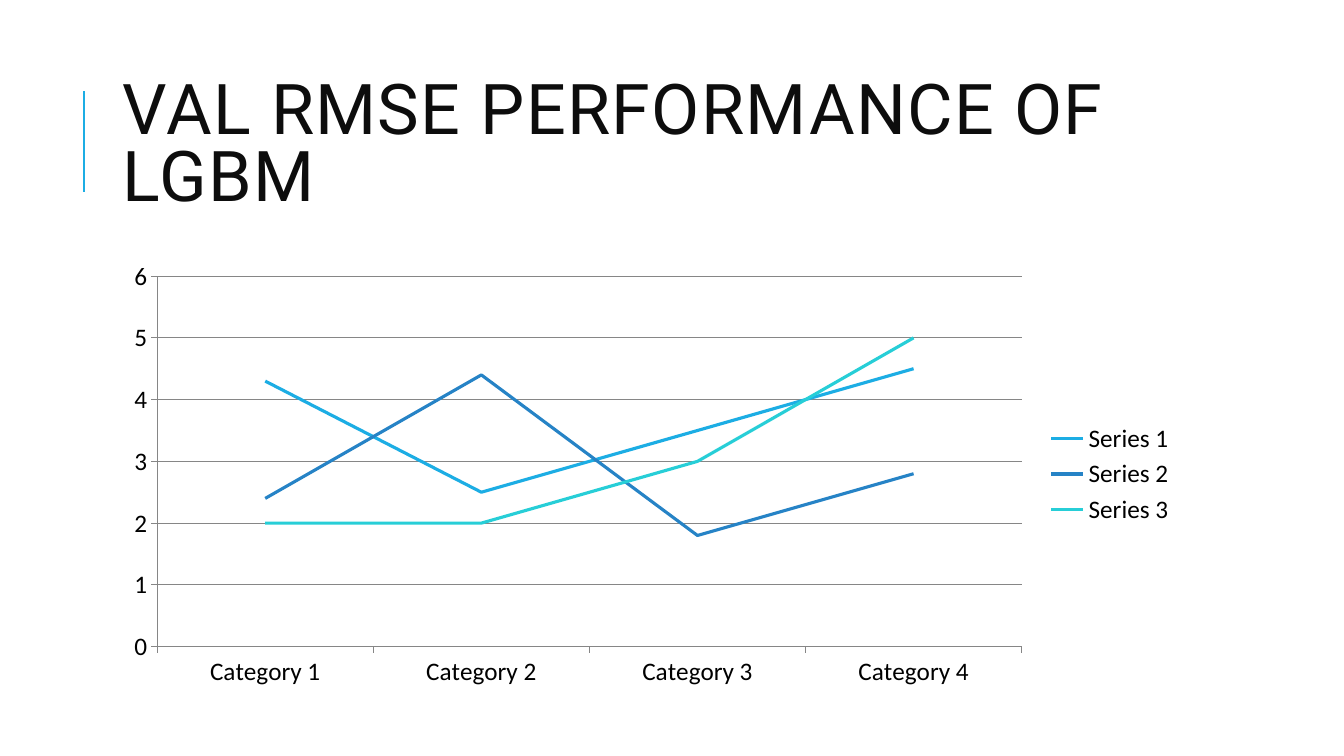
from lxml.etree import SubElement
from pptx import Presentation
from pptx.chart.data import CategoryChartData
from pptx.dml.color import RGBColor
from pptx.enum.chart import XL_CHART_TYPE, XL_LEGEND_POSITION, XL_MARKER_STYLE, XL_TICK_MARK
from pptx.enum.shapes import MSO_CONNECTOR
from pptx.enum.text import MSO_ANCHOR
from pptx.oxml.ns import qn
from pptx.util import Emu, Pt

COLORS = {
    "accent": "1CADE4",
    "title": "0D0D0D",
    "text": "000000",
    "grid": "868686",
}
CATEGORIES = [f"Category {number}" for number in range(1, 5)]
SERIES = [
    ("Series 1", (4.3, 2.5, 3.5, 4.5), "1CADE4"),
    ("Series 2", (2.4, 4.4, 1.8, 2.8), "2683C6"),
    ("Series 3", (2, 2, 3, 5), "27CED7"),
]


def px(length):
    """Turn pixels into EMU."""
    return Emu(round(length * 914400 / 100.8))


def set_line(line, color, points):
    """Give a line its colour and width."""
    line.color.rgb = RGBColor.from_string(color)
    line.width = Pt(points)


def add_title(page, box, text):
    """Place the title in its box, with the accent rule to its left."""
    left, top, width, height = box
    rule_x, rule_top, rule_height = left - 29, top + 26, 101
    rule = page.shapes.add_connector(
        MSO_CONNECTOR.STRAIGHT, px(rule_x), px(rule_top + rule_height), px(rule_x), px(rule_top))
    set_line(rule.line, COLORS["accent"], 1.5)
    SubElement(rule._element.spPr, qn("a:effectLst"))

    frame = page.shapes.add_textbox(*map(px, box)).text_frame
    frame.word_wrap = True
    frame.vertical_anchor = MSO_ANCHOR.MIDDLE
    frame.text = text
    para = frame.paragraphs[0]
    para.line_spacing = 0.8
    span = para.runs[0]
    span.font.name = "Roboto"
    span.font.size = Pt(50)
    span.font.color.rgb = RGBColor.from_string(COLORS["title"])
    span.font._element.set("spc", "100")


def add_line_chart(page, box):
    """Fill the box with the line chart and its legend."""
    data = CategoryChartData()
    data.categories = CATEGORIES
    for name, values, _ in SERIES:
        data.add_series(name, values)
    chart = page.shapes.add_chart(XL_CHART_TYPE.LINE, *map(px, box), data).chart
    chart.has_title = False
    chart.font.name = "Calibri"
    chart.font.size = Pt(18)
    chart.font.color.rgb = RGBColor.from_string(COLORS["text"])

    chart.has_legend = True
    chart.legend.position = XL_LEGEND_POSITION.RIGHT
    chart.legend.include_in_layout = False

    chart.plots[0].vary_by_categories = False
    for series, (_, _, color) in zip(chart.plots[0].series, SERIES):
        series.smooth = False
        series.marker.style = XL_MARKER_STYLE.NONE
        set_line(series.format.line, color, 2.25)

    for axis in (chart.category_axis, chart.value_axis):
        axis.major_tick_mark = XL_TICK_MARK.OUTSIDE
        axis.minor_tick_mark = XL_TICK_MARK.NONE
        set_line(axis.format.line, COLORS["grid"], 0.75)
    chart.value_axis.minimum_scale = 0
    chart.value_axis.maximum_scale = 6
    chart.value_axis.major_unit = 1
    chart.value_axis.has_major_gridlines = True
    set_line(chart.value_axis.major_gridlines.format.line, COLORS["grid"], 0.75)


def main():
    """Build the deck and save it."""
    deck = Presentation()
    deck.slide_width, deck.slide_height = px(1344), px(756)
    page = deck.slides.add_slide(deck.slide_layouts[6])
    add_title(page, (113, 65, 1072, 165), "VAL RMSE PERFORMANCE OF LGBM")
    add_line_chart(page, (113, 252, 1072, 444))
    deck.save("out.pptx")


main()
